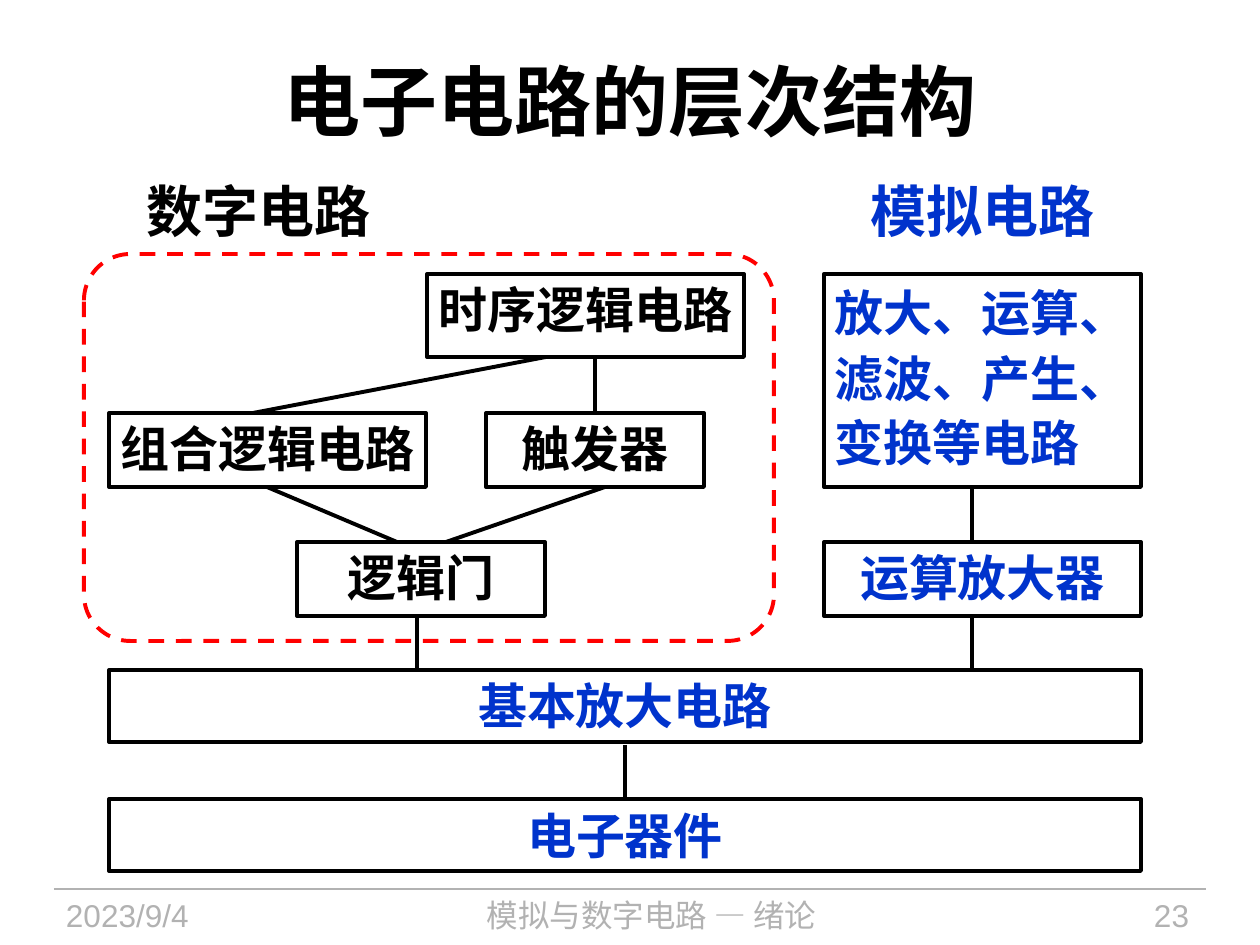
"""Builds a slide on the layered structure of electronic circuits."""
from lxml import etree
from pptx import Presentation
from pptx import util as u
from pptx.dml import color
from pptx.enum import dml, shapes, text
from pptx.oxml import ns

SCALE = u.Inches(1) / 126
FONT = "Arial"
BLACK, BLUE, RED, GRAY = "000000", "0033CC", "FF0000", "B2B2B2"
LEFT, CENTER, RIGHT = text.PP_ALIGN.LEFT, text.PP_ALIGN.CENTER, text.PP_ALIGN.RIGHT
TOP, MIDDLE = text.MSO_ANCHOR.TOP, text.MSO_ANCHOR.MIDDLE

FOOTERS = [
    ((54, 890, 237, 55), "2023/9/4", LEFT),
    ((314, 890, 675, 55), "模拟与数字电路 — 绪论", CENTER),
    ((1033, 890, 168, 55), "23", RIGHT),
]
HEADINGS = [
    ((824, 170, 318, 79), "模拟电路", BLUE),
    ((118, 170, 282, 79), "数字电路", BLACK),
]
BLOCKS = [
    ((109, 670, 1032, 72), "基本放大电路", BLUE),
    ((297, 542, 248, 74), "逻辑门", BLACK),
    ((486, 413, 218, 74), "触发器", BLACK),
    ((824, 542, 317, 74), "运算放大器", BLUE),
    ((109, 413, 317, 74), "组合逻辑电路", BLACK),
    ((427, 274, 317, 83), "时序逻辑电路", BLACK),
    ((109, 799, 1032, 72), "电子器件", BLUE),
]
LINKS = [
    (972, 487, 972, 542),
    (972, 616, 972, 671),
    (417, 616, 417, 671),
    (605, 487, 446, 542),
    (595, 357, 595, 413),
    (546, 357, 253, 413),
    (267, 487, 397, 542),
    (625, 745, 625, 800),
]


def px(*lengths):
    """Turn pixel lengths into EMU."""
    return [u.Emu(round(length * SCALE)) for length in lengths]


def rgb(value):
    """Turn a hex string into a colour."""
    return color.RGBColor.from_string(value)


def write(shape, words, size, tint, align=CENTER, bold=True, anchor=TOP,
          insets=(12, 6, 12, 6), wrap=True):
    """Put formatted text into a shape."""
    frame = shape.text_frame
    frame.text = words
    frame.word_wrap = wrap
    frame.auto_size = text.MSO_AUTO_SIZE.NONE
    frame.vertical_anchor = anchor
    (frame.margin_left, frame.margin_top,
     frame.margin_right, frame.margin_bottom) = px(*insets)
    for para in frame.paragraphs:
        para.alignment = align
        for span in para.runs:
            span.font.name = FONT
            span.font.size = u.Pt(size)
            span.font.bold = bold
            span.font.color.rgb = rgb(tint)


def add_title(page, place, words):
    """Fill and place the title placeholder."""
    title = page.shapes.title
    title.left, title.top, title.width, title.height = px(*place)
    write(title, words, 44, BLACK, anchor=MIDDLE)


def add_label(page, place, words, size, tint, **style):
    """Add a plain text box."""
    write(page.shapes.add_textbox(*px(*place)), words, size, tint, **style)


def add_outline(page, place, tint=BLACK, kind=shapes.MSO_SHAPE.RECTANGLE):
    """Add an unfilled outlined shape."""
    box = page.shapes.add_shape(kind, *px(*place))
    box.shadow.inherit = False
    box.fill.background()
    box.line.color.rgb = rgb(tint)
    box.line.width = u.Pt(2.25)
    return box


def add_block(page, place, words, tint):
    """Add a circuit block with one centred line of text."""
    write(add_outline(page, place), words, 28, tint, insets=(0, 6, 0, 6))


def add_analog_list(page):
    """Add the tall block that lists analog circuits."""
    box = add_outline(page, (824, 274, 317, 213))
    write(box, "放大、运算、\n滤波、产生、\n变换等电路", 28, BLUE,
          align=LEFT, anchor=MIDDLE, insets=(11, 0, 0, 0))
    for para, spacing in zip(box.text_frame.paragraphs, (0.9, 1.1, 1.1)):
        para.line_spacing = spacing


def add_digital_frame(page):
    """Add the dashed frame around the digital blocks."""
    frame = add_outline(page, (84, 254, 690, 387), RED,
                        shapes.MSO_SHAPE.ROUNDED_RECTANGLE)
    frame.adjustments[0] = 0.12
    frame.line.dash_style = dml.MSO_LINE.DASH


def add_line(page, ends, tint=BLACK, width=2.25):
    """Add a straight line without a shadow."""
    line = page.shapes.add_connector(shapes.MSO_CONNECTOR.STRAIGHT, *px(*ends))
    line.line.color.rgb = rgb(tint)
    line.line.width = u.Pt(width)
    etree.SubElement(line._element.spPr, ns.qn("a:effectLst"))


def main():
    """Build and save the slide."""
    deck = Presentation()
    deck.slide_width, deck.slide_height = px(1260, 945)
    page = deck.slides.add_slide(deck.slide_layouts[5])

    add_line(page, (54, 889, 1206, 889), GRAY, 0.75)
    for place, words, align in FOOTERS:
        add_label(page, place, words, 18, GRAY, align=align, bold=False)
    add_title(page, (63, 21, 1134, 158), "电子电路的层次结构")
    for place, words, tint in HEADINGS:
        add_label(page, place, words, 32, tint, wrap=False)
    for place, words, tint in BLOCKS:
        add_block(page, place, words, tint)
    add_analog_list(page)
    for ends in LINKS:
        add_line(page, ends)
    add_digital_frame(page)
    deck.save("out.pptx")


if __name__ == "__main__":
    main()
